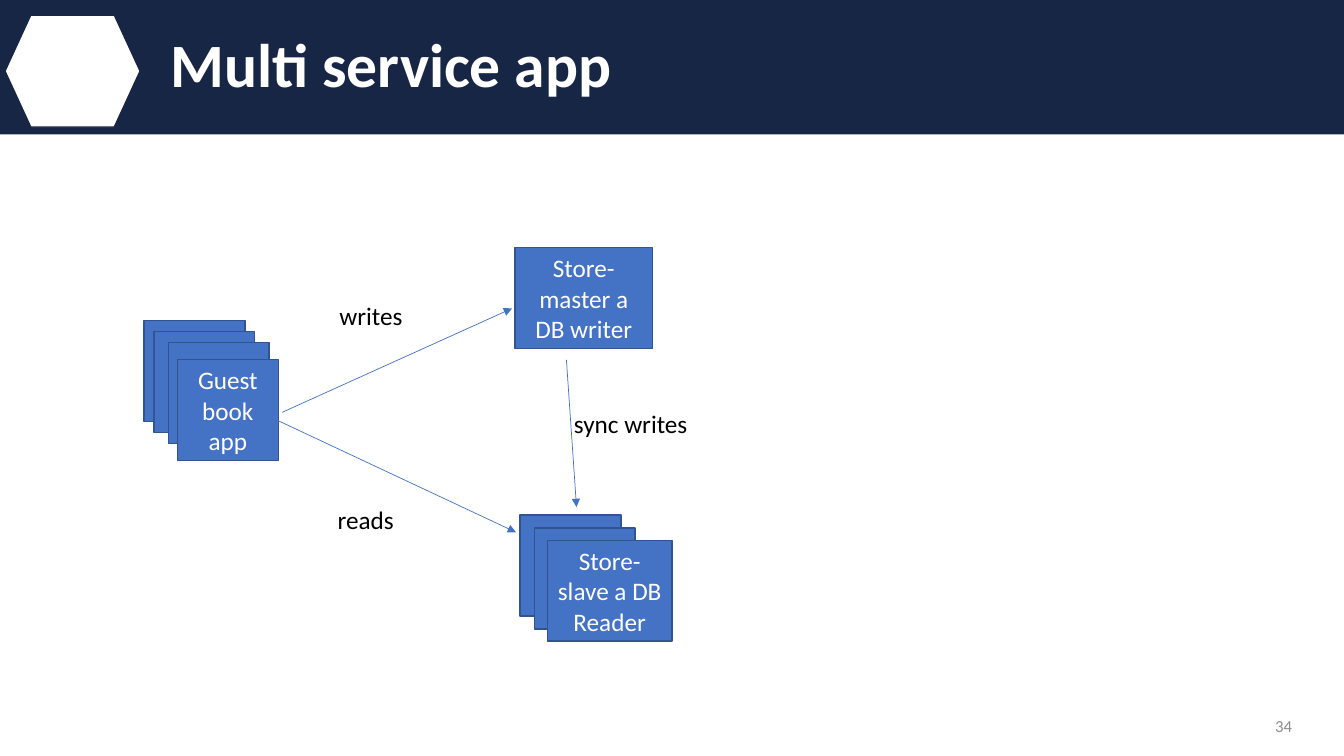
from dataclasses import dataclass

from lxml.etree import SubElement
from pptx import Presentation
from pptx.dml.color import RGBColor
from pptx.enum.shapes import MSO_CONNECTOR, MSO_SHAPE
from pptx.enum.text import MSO_ANCHOR, PP_ALIGN
from pptx.oxml.ns import qn
from pptx.shapes.autoshape import Shape
from pptx.slide import Slide
from pptx.util import Pt


@dataclass(frozen=True)
class Theme:
    font: str = "Calibri"
    navy: RGBColor = RGBColor(0x18, 0x26, 0x46)
    blue: RGBColor = RGBColor(0x44, 0x72, 0xC4)
    edge: RGBColor = RGBColor(0x32, 0x54, 0x91)
    white: RGBColor = RGBColor(0xFF, 0xFF, 0xFF)
    black: RGBColor = RGBColor(0, 0, 0)
    gray: RGBColor = RGBColor(0x8C, 0x8C, 0x8C)
    title_size: float = 44
    body_size: float = 18
    number_size: float = 12
    border: float = 1
    arrow: float = 0.5


THEME = Theme()


@dataclass(frozen=True)
class Area:
    left: float
    top: float
    width: float = 72
    height: float = 72

    def lengths(self) -> tuple[Pt, Pt, Pt, Pt]:
        return Pt(self.left), Pt(self.top), Pt(self.width), Pt(self.height)


@dataclass(frozen=True)
class Service:
    front: Area
    lines: tuple[str, ...]
    replicas: tuple[Area, ...] = ()


@dataclass(frozen=True)
class Flow:
    start: tuple[float, float]
    end: tuple[float, float]


@dataclass(frozen=True)
class Caption:
    text: str
    area: Area
    size: float = THEME.body_size
    color: RGBColor = THEME.black
    align: PP_ALIGN = PP_ALIGN.CENTER
    anchor: MSO_ANCHOR = MSO_ANCHOR.TOP
    bold: bool = False
    spacing: float = 1.0


BANNER = Area(0, 0, 960, 96)
BADGE = Area(3.6, 10.8, 96.5, 80)

SERVICES = (
    Service(
        Area(126.8, 257),
        ("Guest", "book app"),
        (Area(103, 229), Area(110, 237), Area(120.3, 244.8)),
    ),
    Service(Area(368, 177, 98, 72), ("Store-master a DB writer",)),
    Service(
        Area(391, 386, 89, 72),
        ("Store-slave a DB Reader",),
        (Area(371.5, 368), Area(381.6, 377.3)),
    ),
)

FLOWS = (
    Flow((195.1, 298.8), (368.6, 380.2)),
    Flow((404.6, 257), (411.8, 362.2)),
    Flow((201.6, 294.5), (365.8, 220.3)),
)

CAPTIONS = (
    Caption(
        "Multi service app", Area(114.5, 0, 845.5, 96), THEME.title_size, THEME.white,
        PP_ALIGN.LEFT, MSO_ANCHOR.MIDDLE, True, 0.9,
    ),
    Caption(
        "34", Area(714, 504, 216, 28.8), THEME.number_size, THEME.gray,
        PP_ALIGN.RIGHT, MSO_ANCHOR.MIDDLE,
    ),
    Caption("writes", Area(157, 211, 216, 29)),
    Caption("sync writes", Area(342.5, 288, 216, 29)),
    Caption("reads", Area(153.2, 356.4, 216, 29)),
)


def write(
    holder: Shape,
    lines: tuple[str, ...],
    size: float,
    color: RGBColor,
    align: PP_ALIGN,
    anchor: MSO_ANCHOR,
    bold: bool = False,
    spacing: float = 1.0,
) -> None:
    frame = holder.text_frame
    frame.word_wrap = True
    frame.vertical_anchor = anchor
    for index, line in enumerate(lines):
        paragraph = frame.add_paragraph() if index else frame.paragraphs[0]
        paragraph.alignment = align
        paragraph.line_spacing = spacing
        run = paragraph.add_run()
        run.text = line
        run.font.name = THEME.font
        run.font.size = Pt(size)
        run.font.bold = bold
        run.font.color.rgb = color


def draw_area(
    slide: Slide,
    area: Area,
    fill: RGBColor,
    edge: RGBColor | None = None,
    preset: MSO_SHAPE = MSO_SHAPE.RECTANGLE,
) -> Shape:
    drawn = slide.shapes.add_shape(preset, *area.lengths())
    drawn.shadow.inherit = False
    drawn.fill.solid()
    drawn.fill.fore_color.rgb = fill
    if edge is None:
        drawn.line.fill.background()
    else:
        drawn.line.color.rgb = edge
        drawn.line.width = Pt(THEME.border)
    return drawn


def draw_service(slide: Slide, service: Service) -> None:
    for replica in service.replicas:
        draw_area(slide, replica, THEME.blue, THEME.edge)
    front = draw_area(slide, service.front, THEME.blue, THEME.edge)
    write(front, service.lines, THEME.body_size, THEME.white,
          PP_ALIGN.CENTER, MSO_ANCHOR.MIDDLE)


def draw_flow(slide: Slide, flow: Flow) -> None:
    ends = (Pt(value) for value in flow.start + flow.end)
    arrow = slide.shapes.add_connector(MSO_CONNECTOR.STRAIGHT, *ends)
    arrow.line.color.rgb = THEME.blue
    arrow.line.width = Pt(THEME.arrow)
    properties = arrow.element.spPr
    SubElement(properties.find(qn("a:ln")), qn("a:tailEnd"), type="triangle")
    SubElement(properties, qn("a:effectLst"))


def draw_caption(slide: Slide, caption: Caption) -> None:
    holder = slide.shapes.add_textbox(*caption.area.lengths())
    write(holder, (caption.text,), caption.size, caption.color, caption.align,
          caption.anchor, caption.bold, caption.spacing)


def main() -> None:
    deck = Presentation()
    deck.slide_width, deck.slide_height = Pt(960), Pt(540)
    slide = deck.slides.add_slide(deck.slide_layouts[6])
    draw_area(slide, BANNER, THEME.navy)
    badge = draw_area(slide, BADGE, THEME.white, THEME.navy, MSO_SHAPE.HEXAGON)
    badge.adjustments[0] = 0.23
    for service in SERVICES:
        draw_service(slide, service)
    for flow in FLOWS:
        draw_flow(slide, flow)
    for caption in CAPTIONS:
        draw_caption(slide, caption)
    deck.save("out.pptx")


if __name__ == "__main__":
    main()
